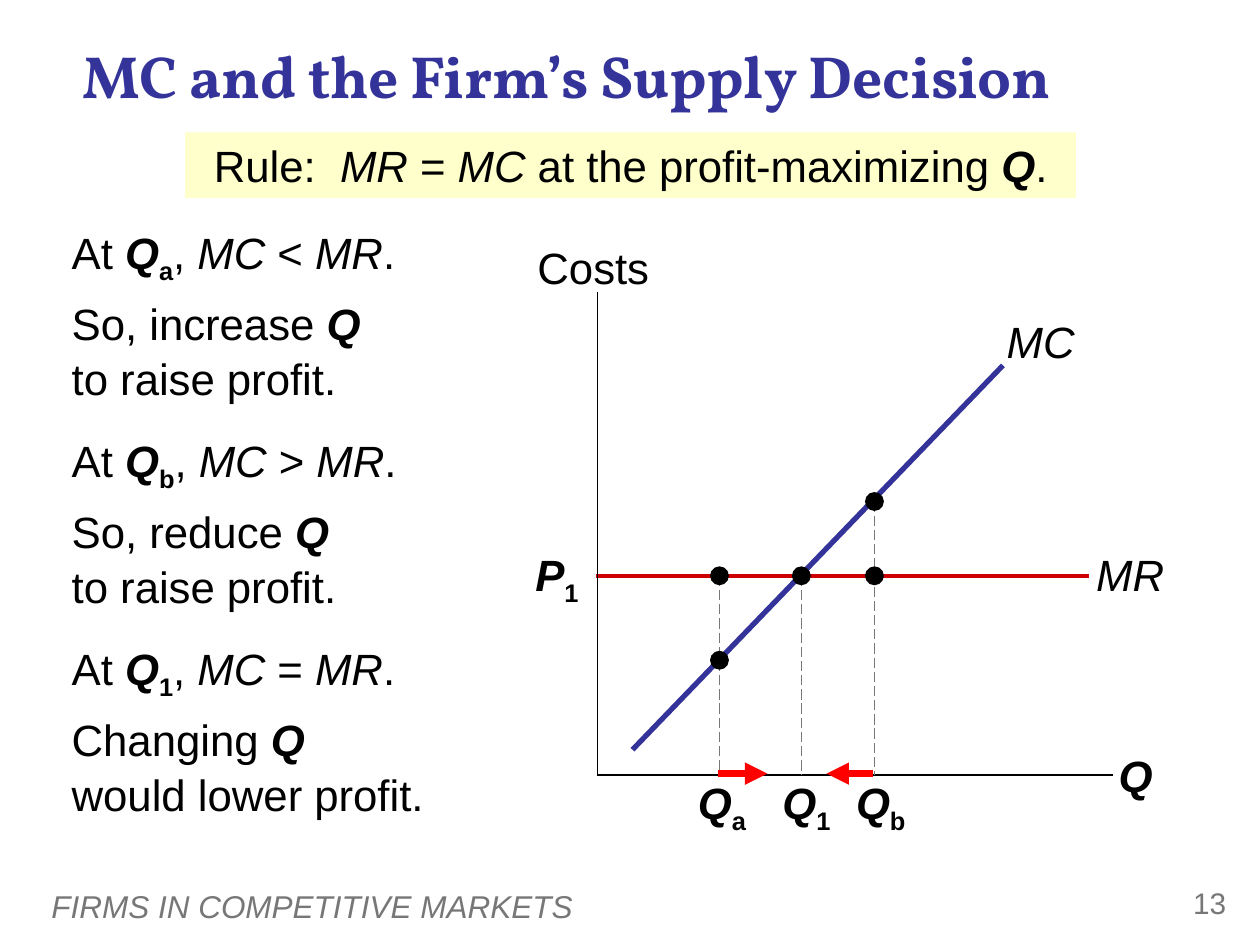
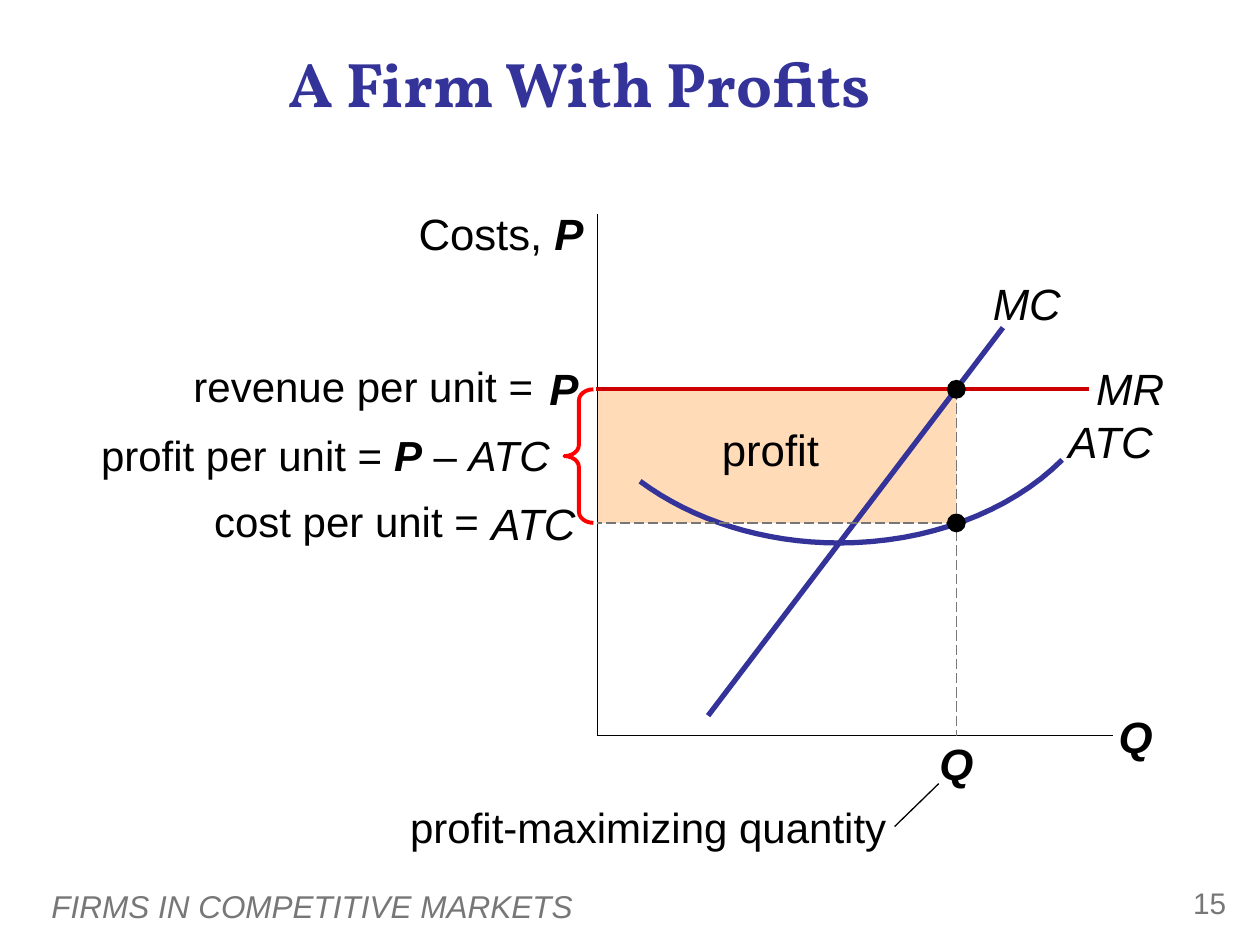
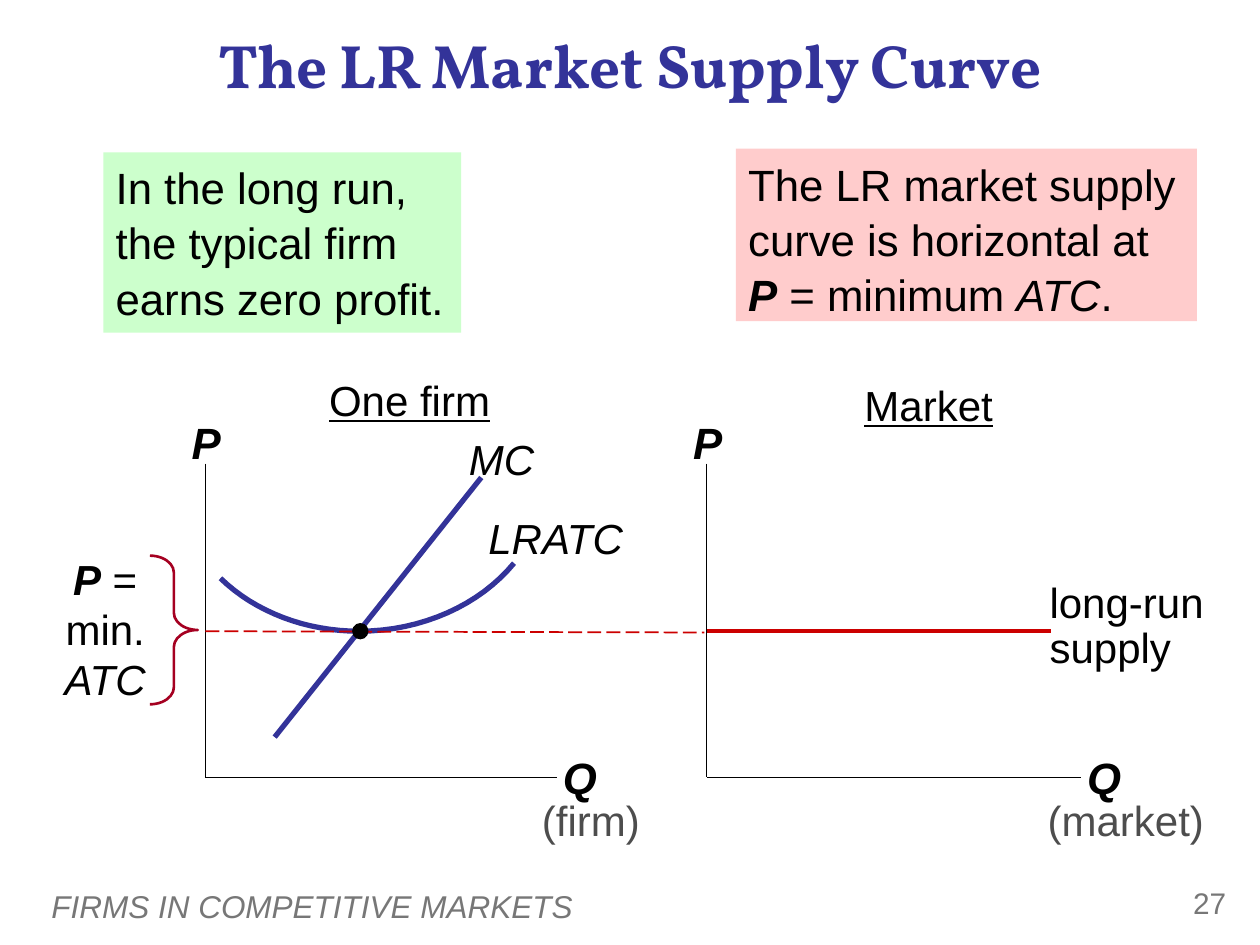
from dataclasses import dataclass
from typing import Optional, Union

import lxml.etree
import pptx
import pptx.dml.color
import pptx.enum.dml
import pptx.enum.shapes
import pptx.enum.text
import pptx.oxml.ns
import pptx.util

Inches, Pt = pptx.util.Inches, pptx.util.Pt
SHAPE = pptx.enum.shapes.MSO_SHAPE
LEFT, CENTER, RIGHT = (getattr(pptx.enum.text.PP_ALIGN, name) for name in ("LEFT", "CENTER", "RIGHT"))

# Shared look
BODY_FONT, TITLE_FONT = "Arial", "Vollkorn"
BLACK, GRAY, DARK_GRAY = "000000", "777777", "4D4D4D"
NAVY, PRICE_RED, ARROW_RED, BRACE_RED = "333399", "CC0000", "FF0000", "A50021"
YELLOW, GREEN, PINK, PEACH = "FFFFCC", "CCFFCC", "FFCCCC", "FFDBB7"
DOT_SIZE = 0.15
CURVE_STEPS = 16

Point = tuple[float, float]
Box = tuple[float, float, float, float]


# Content types
@dataclass(frozen=True)
class Run:
    text: str
    bold: bool = False
    italic: bool = False
    subscript: bool = False


Piece = Union[str, Run]


@dataclass(frozen=True)
class Para:
    pieces: tuple[Piece, ...]
    before: float = 0


@dataclass(frozen=True)
class Label:
    at: Box
    paras: tuple[Para, ...]
    size: float = 25
    align: pptx.enum.text.PP_ALIGN = LEFT
    color: str = BLACK
    fill: Optional[str] = None
    tight: bool = False
    underline: bool = False
    italic: bool = False
    middle: bool = False
    spacing: Optional[float] = None


@dataclass(frozen=True)
class Line:
    start: Point
    end: Point
    color: str = BLACK
    width: float = 0.75
    dashed: bool = False
    arrow: bool = False


@dataclass(frozen=True)
class Quantity:
    name: tuple[Piece, ...]
    x: float
    label_center: float
    dots: tuple[float, ...]


def it(text: str) -> Run:
    return Run(text, italic=True)


def var(text: str) -> Run:
    return Run(text, bold=True, italic=True)


def sub(text: str) -> Run:
    return Run(text, bold=True, subscript=True)


def one(*pieces: Piece) -> tuple[Para, ...]:
    return (Para(pieces),)


MR, MC, ATC, P, Q = it("MR"), it("MC"), it("ATC"), var("P"), var("Q")


# Drawing functions
def rgb(color: str) -> pptx.dml.color.RGBColor:
    return pptx.dml.color.RGBColor.from_string(color)


def set_font(font, name: str, size: float, color: str) -> None:
    font.name, font.size = name, Pt(size)
    font.color.rgb = rgb(color)


def add_pieces(paragraph, pieces: tuple[Piece, ...]) -> None:
    for piece in pieces:
        if piece == "\n":
            paragraph.add_line_break()
            continue
        piece = Run(piece) if isinstance(piece, str) else piece
        run = paragraph.add_run()
        run.text = piece.text
        if piece.bold:
            run.font.bold = True
        if piece.italic:
            run.font.italic = True
        if piece.subscript:
            run._r.get_or_add_rPr().set("baseline", "-25000")


def draw_label(slide, label: Label) -> None:
    box = slide.shapes.add_textbox(*map(Inches, label.at))
    if label.fill:
        box.fill.solid()
        box.fill.fore_color.rgb = rgb(label.fill)
    frame = box.text_frame
    frame.word_wrap = True
    if label.middle:
        frame.vertical_anchor = pptx.enum.text.MSO_ANCHOR.MIDDLE
    if label.tight:
        frame.margin_left = frame.margin_right = frame.margin_top = frame.margin_bottom = 0
    for index, para in enumerate(label.paras):
        paragraph = frame.add_paragraph() if index else frame.paragraphs[0]
        paragraph.alignment = label.align
        if label.spacing:
            paragraph.line_spacing = label.spacing
        if para.before:
            paragraph.space_before = Pt(para.before)
        set_font(paragraph.font, BODY_FONT, label.size, label.color)
        if label.underline:
            paragraph.font.underline = True
        if label.italic:
            paragraph.font.italic = True
        add_pieces(paragraph, para.pieces)


def draw_labels(slide, *labels: Label) -> None:
    for label in labels:
        draw_label(slide, label)


def draw_line(slide, line: Line) -> None:
    connector = slide.shapes.add_connector(
        pptx.enum.shapes.MSO_CONNECTOR.STRAIGHT, *map(Inches, line.start + line.end))
    connector.line.color.rgb = rgb(line.color)
    connector.line.width = Pt(line.width)
    if line.dashed:
        connector.line.dash_style = pptx.enum.dml.MSO_LINE.LONG_DASH
    properties = connector._element.spPr
    if line.arrow:
        outline = connector.line._get_or_add_ln()
        lxml.etree.SubElement(outline, pptx.oxml.ns.qn("a:tailEnd"), type="triangle")
    lxml.etree.SubElement(properties, pptx.oxml.ns.qn("a:effectLst"))


def draw_filled(slide, kind, at: Box, color: str) -> None:
    shape = slide.shapes.add_shape(kind, *map(Inches, at))
    shape.shadow.inherit = False
    shape.fill.solid()
    shape.fill.fore_color.rgb = rgb(color)
    shape.line.fill.background()


def draw_dot(slide, x: float, y: float, size: float = DOT_SIZE) -> None:
    draw_filled(slide, SHAPE.OVAL, (x - size / 2, y - size / 2, size, size), BLACK)


def outline_only(shape, color: str, width: float) -> None:
    shape.shadow.inherit = False
    shape.fill.background()
    shape.line.color.rgb = rgb(color)
    shape.line.width = Pt(width)


def draw_brace(slide, kind, at: Box, bend: float, color: str, width: float) -> None:
    brace = slide.shapes.add_shape(kind, *map(Inches, at))
    brace.adjustments[0] = bend
    outline_only(brace, color, width)


def draw_cost_curve(slide, start: Point, *arcs: tuple[Point, Point, Point]) -> None:
    """Draw a smooth curve through cubic arcs (two controls and an end each)."""
    points = [start]
    for first, second, end in arcs:
        corners = (points[-1], first, second, end)
        for step in range(1, CURVE_STEPS + 1):
            t = step / CURVE_STEPS
            weights = ((1 - t) ** 3, 3 * t * (1 - t) ** 2, 3 * t * t * (1 - t), t ** 3)
            points.append((sum(w * c[0] for w, c in zip(weights, corners)),
                           sum(w * c[1] for w, c in zip(weights, corners))))
    emu = [(Inches(x), Inches(y)) for x, y in points]
    builder = slide.shapes.build_freeform(*emu[0])
    builder.add_line_segments(emu[1:], close=False)
    outline_only(builder.convert_to_shape(), NAVY, 3)


# Graph parts
def draw_axes(slide, x: float, top: float, base: float, right: float) -> None:
    draw_line(slide, Line((x, top), (x, base)))
    draw_line(slide, Line((x, base), (right, base)))
    draw_label(slide, Label((right - 0.05, base - 0.26, 0.6, 0.52), one(Q)))


def draw_price_line(slide, y: float, *price: Piece) -> None:
    draw_line(slide, Line((4.73, y), (8.64, y), PRICE_RED, 2.25))
    draw_labels(slide,
                Label((4.02, y - 0.27, 0.67, 0.52), one(*price), align=RIGHT),
                Label((8.7, y - 0.22, 0.66, 0.42), one(MR), tight=True))


def draw_quantity(slide, quantity: Quantity, base: float) -> None:
    draw_label(slide, Label((quantity.label_center - 0.24, base + 0.01, 0.48, 0.42),
                            one(*quantity.name), align=CENTER, tight=True))
    draw_line(slide, Line((quantity.x, min(quantity.dots)), (quantity.x, base), GRAY, dashed=True))
    for y in quantity.dots:
        draw_dot(slide, quantity.x, y)


def new_slide(deck, title: str, at: Box, size: float, number: int):
    slide = deck.slides.add_slide(deck.slide_layouts[5])
    heading = slide.shapes.title
    heading.left, heading.top, heading.width, heading.height = map(Inches, at)
    frame = heading.text_frame
    frame.text = title
    frame.word_wrap = True
    frame.auto_size = pptx.enum.text.MSO_AUTO_SIZE.NONE
    frame.vertical_anchor = pptx.enum.text.MSO_ANCHOR.MIDDLE
    paragraph = frame.paragraphs[0]
    paragraph.alignment = CENTER
    set_font(paragraph.font, TITLE_FONT, size, NAVY)
    paragraph.font.bold = True
    draw_labels(
        slide,
        Label((0.31, 6.99, 8.02, 0.4), one("FIRMS IN COMPETITIVE MARKETS"), 18,
              color=GRAY, italic=True, middle=True),
        Label((9.08, 6.97, 0.75, 0.4), one(str(number)), 17, RIGHT, GRAY))
    return slide


# Slides
def supply_decision(deck) -> None:
    slide = new_slide(deck, "MC and the Firm’s Supply Decision", (0, 0.24, 9, 0.71), 34, 13)
    price, base = 4.57, 6.15

    cases = (("a", " < ", "So, increase ", "to raise profit."),
             ("b", " > ", "So, reduce ", "to raise profit."),
             ("1", " = ", "Changing ", "would lower profit."))
    reasoning = []
    for index, (mark, relation, action, result) in enumerate(cases):
        reasoning.append(Para(("At ", Q, sub(mark), ", ", MC, relation, MR, "."), 15 if index else 0))
        reasoning.append(Para((action, var("Q "), "\n", result), 5))
    draw_label(slide, Label((0.47, 1.72, 3.09, 5.16), tuple(reasoning), spacing=1.05))

    draw_price_line(slide, price, P, sub("1"))
    draw_axes(slide, 4.74, 2.32, base, 8.83)
    draw_label(slide, Label((4.05, 1.86, 1.2, 0.52), one("Costs"), align=RIGHT))
    draw_line(slide, Line((5.02, 5.95), (7.96, 2.9), NAVY, 3))
    draw_label(slide, Label((7.99, 2.5, 0.66, 0.42), one(MC), tight=True))

    for quantity in (Quantity((Q, sub("1")), 6.36, 6.4, (price,)),
                     Quantity((Q, sub("a")), 5.71, 5.73, (price, 5.24)),
                     Quantity((Q, sub("b")), 6.94, 6.99, (price, 3.98))):
        draw_quantity(slide, quantity, base)

    draw_label(slide, Label(
        (1.47, 1.05, 7.07, 0.52),
        one("Rule:  ", MR, " = ", MC, " at the profit-maximizing ", Q, "."),
        align=CENTER, fill=YELLOW))
    for start, end in ((5.7, 6.09), (6.93, 6.56)):
        draw_line(slide, Line((start, 6.14), (end, 6.14), ARROW_RED, 4.25, arrow=True))


def firm_with_profits(deck) -> None:
    slide = new_slide(deck, "A Firm With Profits", (0, 0.28, 9.2, 0.74), 36, 15)
    axis, price, cost, best, base = 4.74, 3.09, 4.15, 7.59, 5.84

    draw_filled(slide, SHAPE.RECTANGLE, (axis, price, best - axis, cost - price), PEACH)
    draw_label(slide, Label((5.59, 3.31, 1.05, 0.52), one("profit"), align=CENTER))
    draw_axes(slide, axis, 1.7, base, 8.83)
    draw_label(slide, Label((2.9, 1.59, 1.83, 0.52), one("Costs, ", P), align=RIGHT))

    # Cost and price curves
    draw_line(slide, Line((5.62, 5.68), (7.96, 2.6), NAVY, 3))
    draw_cost_curve(slide, (8.43, 3.65),
                    ((8.01, 4.07), (7.35, 4.31), (6.66, 4.31)),
                    ((6.06, 4.31), (5.5, 4.13), (5.08, 3.82)))
    draw_labels(slide,
                Label((7.88, 2.2, 0.66, 0.42), one(MC), tight=True),
                Label((8.48, 3.29, 0.81, 0.42), one(ATC), tight=True))
    draw_price_line(slide, price, P)
    draw_quantity(slide, Quantity((Q,), best, best, (price,)), base)
    draw_line(slide, Line((best, cost), (axis, cost), GRAY, dashed=True))
    draw_dot(slide, best, cost)
    draw_label(slide, Label((3.9, 3.94, 0.81, 0.42), one(ATC), tight=True))

    # Explanations
    draw_brace(slide, SHAPE.LEFT_BRACE, (4.48, price, 0.23, cost - price), 0.387, ARROW_RED, 2.25)
    draw_labels(
        slide,
        Label((0.52, 3.36, 3.94, 0.5), one("profit per unit = ", P, " – ", ATC), 24, RIGHT),
        Label((1.28, 2.81, 3.05, 0.5), one("revenue per unit ="), 24, RIGHT),
        Label((1.5, 3.88, 2.4, 0.5), one("cost per unit ="), 24, RIGHT),
        Label((3.01, 6.31, 4.27, 0.5), one("profit-maximizing quantity"), 24, CENTER))
    draw_line(slide, Line((7.1, 6.56), (7.45, 6.22)))


def long_run_supply(deck) -> None:
    slide = new_slide(deck, "The LR Market Supply Curve", (0, 0.15, 10, 0.71), 35, 27)
    firm_axis, market_axis, price, base = 1.63, 5.61, 5.01, 6.17

    draw_line(slide, Line((2.18, 5.85), (3.82, 3.79), NAVY, 3))
    draw_label(slide, Label((3.65, 3.44, 0.66, 0.4), one(MC), 24, CENTER, tight=True))

    # The two graphs
    for axis, right, heading, heading_at, scope, scope_at in (
            (market_axis, 8.58, "Market", (6.51, 2.96, 1.72, 0.5), "(market)", (8.2, 6.26, 1.47, 0.5)),
            (firm_axis, 4.42, "One firm", (2.39, 2.92, 1.72, 0.5), "(firm)", (4.16, 6.26, 1.06, 0.5))):
        draw_axes(slide, axis, 3.68, base, right)
        draw_labels(slide,
                    Label(heading_at, one(heading), 24, CENTER, underline=True),
                    Label((axis - 0.28, 3.25, 0.5, 0.52), one(P), align=RIGHT),
                    Label(scope_at, one(scope), 24, CENTER, DARK_GRAY))

    draw_label(slide, Label(
        (0.82, 1.21, 2.84, 1.43),
        one("In the long run, ", "\n", "the typical firm ", "\n", "earns zero profit."),
        fill=GREEN, spacing=1.05))

    # Firm's average cost and the market's supply
    draw_cost_curve(slide, (4.08, 4.47),
                    ((3.81, 4.8), (3.35, 5.01), (2.85, 5.01)),
                    ((2.43, 5.01), (2.03, 4.86), (1.75, 4.59)))
    draw_label(slide, Label((3.79, 4.07, 1.24, 0.4), one(it("LRATC")), 24, CENTER, tight=True))
    draw_line(slide, Line((market_axis, price), (8.34, price), PRICE_RED, 2.25))
    draw_labels(
        slide,
        Label((8.33, 4.62, 1.31, 0.72), one("long-run") + one("supply"), 24, tight=True, spacing=0.9),
        Label((0.35, 4.34, 0.97, 1.3), one(P, " = min. ", ATC), 24, CENTER))
    draw_brace(slide, SHAPE.RIGHT_BRACE, (1.19, 4.41, 0.38, 1.18), 0.355, BRACE_RED, 1.5)
    draw_line(slide, Line((firm_axis, price), (5.59, 5.02), PRICE_RED, 1, dashed=True))
    draw_dot(slide, 2.86, price, 0.13)

    draw_label(slide, Label(
        (5.84, 1.18, 3.66, 1.37),
        one("The LR market supply curve is horizontal at ", "\n", P, " = minimum ", ATC, "."),
        fill=PINK, spacing=1.05))


def main() -> None:
    deck = pptx.Presentation()
    deck.slide_width, deck.slide_height = Inches(10), Inches(7.5)
    supply_decision(deck)
    firm_with_profits(deck)
    long_run_supply(deck)
    deck.save("out.pptx")


if __name__ == "__main__":
    main()
